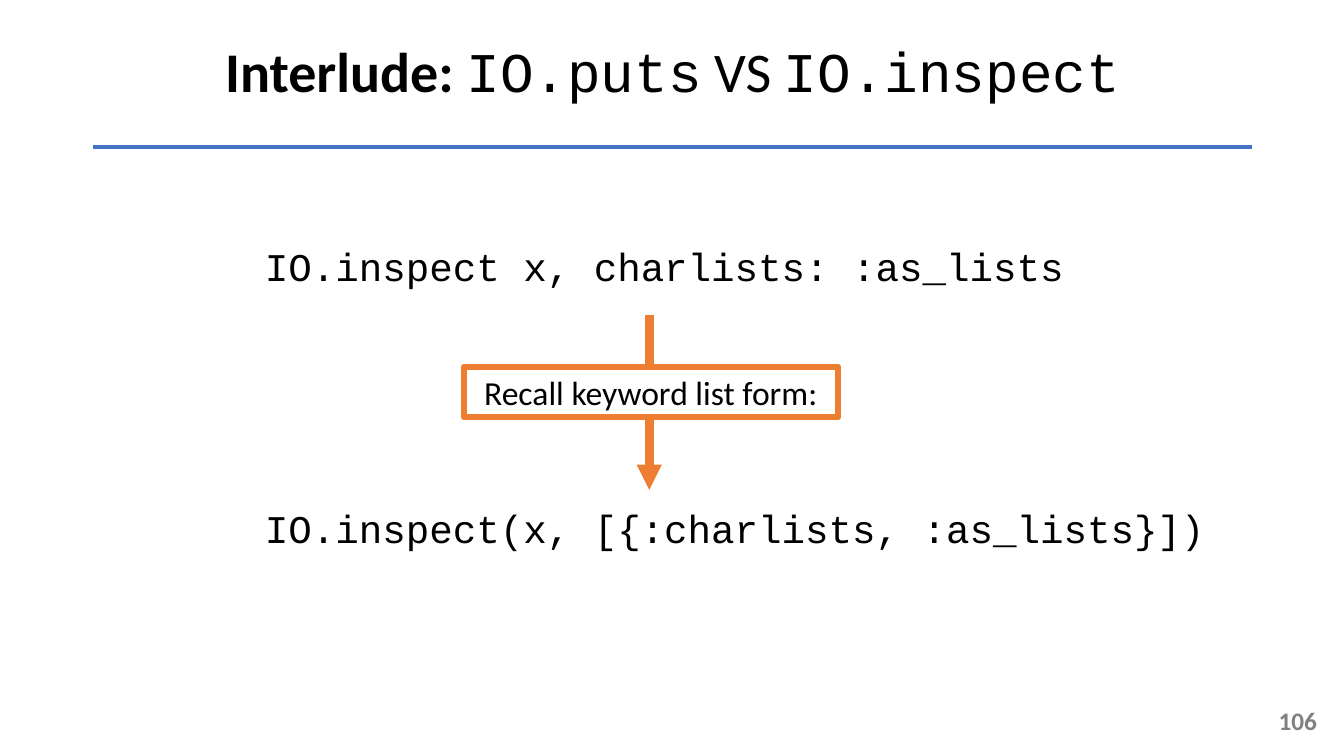
import pptx
import pptx.util
import pptx.dml.color
import pptx.enum.shapes
import pptx.enum.text
import pptx.oxml
import pptx.oxml.ns
from dataclasses import dataclass

Inches = pptx.util.Inches
Pt = pptx.util.Pt
Align = pptx.enum.text.PP_ALIGN
Anchor = pptx.enum.text.MSO_ANCHOR
Fit = pptx.enum.text.MSO_AUTO_SIZE


@dataclass(frozen=True)
class Theme:
    """Colours, fonts and type sizes of the slide."""
    ink: str = "000000"
    paper: str = "FFFFFF"
    blue: str = "4472C4"
    orange: str = "ED7D31"
    grey: str = "808080"
    sans: str = "Calibri"
    mono: str = "Courier New"
    title: int = 40
    code: int = 28
    label: int = 24
    number: int = 18


THEME = Theme()


def rgb(code):
    """Turn a hex code into a colour."""
    return pptx.dml.color.RGBColor.from_string(code)


def write(shape, runs, size, color=THEME.ink, align=Align.LEFT, **frame):
    """Fill a shape with one paragraph of (text, font, bold) runs."""
    text = shape.text_frame
    for name, value in ({"word_wrap": True, "auto_size": Fit.NONE} | frame).items():
        setattr(text, name, value)
    para = text.paragraphs[0]
    para.alignment = align
    for words, face, bold in runs:
        run = para.add_run()
        run.text = words
        for name, value in {"name": face, "size": Pt(size), "bold": bold}.items():
            setattr(run.font, name, value)
        run.font.color.rgb = rgb(color)
    return para


def place(shape, box):
    """Move a shape to a box given in inches."""
    for name, value in zip(("left", "top", "width", "height"), box):
        setattr(shape, name, Inches(value))


def text(slide, box, *args, **style):
    """Add a text box."""
    write(slide.shapes.add_textbox(*map(Inches, box)), *args, **style)


def line(slide, start, end, color, width, head=False):
    """Add a straight line, with an arrowhead at its end if asked."""
    kind = pptx.enum.shapes.MSO_CONNECTOR.STRAIGHT
    link = slide.shapes.add_connector(kind, *map(Inches, (*start, *end)))
    link.line.color.rgb = rgb(color)
    link.line.width = Pt(width)
    if head:
        tail = pptx.oxml.parse_xml(
            f'<a:tailEnd {pptx.oxml.ns.nsdecls("a")} type="triangle"/>')
        link.line._get_or_add_ln().append(tail)
    link._element.spPr.append(
        pptx.oxml.parse_xml(f'<a:effectLst {pptx.oxml.ns.nsdecls("a")}/>'))


def header(slide, box):
    """Place the title in its box and the rule along the foot of it."""
    left, top, width, height = box
    title = slide.shapes.title
    place(title, box)
    runs = [("Interlude: ", THEME.sans, True), ("IO.puts", THEME.mono, False),
            (" VS ", THEME.sans, False), ("IO.inspect", THEME.mono, False)]
    para = write(title, runs, THEME.title, align=Align.CENTER,
                 vertical_anchor=Anchor.MIDDLE)
    para.line_spacing = 0.9
    foot = top + height
    line(slide, (left, foot), (left + width, foot), THEME.blue, 3)


def rewrite(slide, box):
    """Show the short call, an arrow with its label, and the full call."""
    left, top, width, height = box
    row = 0.57
    calls = ("IO.inspect x, charlists: :as_lists",
             "IO.inspect(x, [{:charlists, :as_lists}])")
    for call, y in zip(calls, (top, top + height - row)):
        text(slide, (left, y, width, row), [(call, THEME.mono, False)], THEME.code)
    mid = left + 3.91
    line(slide, (mid, top + 0.78), (mid, top + 2.51), THEME.orange, 6, head=True)
    note(slide, (mid - 1.84, top + 1.29, 3.71, 0.5))


def note(slide, box):
    """Add the outlined label that sits on the arrow."""
    kind = pptx.enum.shapes.MSO_SHAPE.RECTANGLE
    card = slide.shapes.add_shape(kind, *map(Inches, box))
    card.shadow.inherit = False
    card.fill.solid()
    card.fill.fore_color.rgb = rgb(THEME.paper)
    card.line.color.rgb = rgb(THEME.orange)
    card.line.width = Pt(4.5)
    write(card, [("Recall keyword list form:", THEME.sans, False)], THEME.label,
          align=Align.CENTER, vertical_anchor=Anchor.TOP)


def footer(slide, box):
    """Add the slide number."""
    text(slide, box, [("106", THEME.sans, True)], THEME.number, THEME.grey,
         Align.RIGHT, vertical_anchor=Anchor.MIDDLE)


def main():
    """Build and save the slide."""
    deck = pptx.Presentation()
    deck.slide_width, deck.slide_height = Inches(13.33), Inches(7.5)
    slide = deck.slides.add_slide(deck.slide_layouts[5])
    header(slide, (0.92, 0.01, 11.5, 1.45))
    rewrite(slide, (2.53, 2.35, 9.57, 3.17))
    footer(slide, (10.16, 6.95, 3, 0.4))
    deck.save("out.pptx")


if __name__ == "__main__":
    main()
